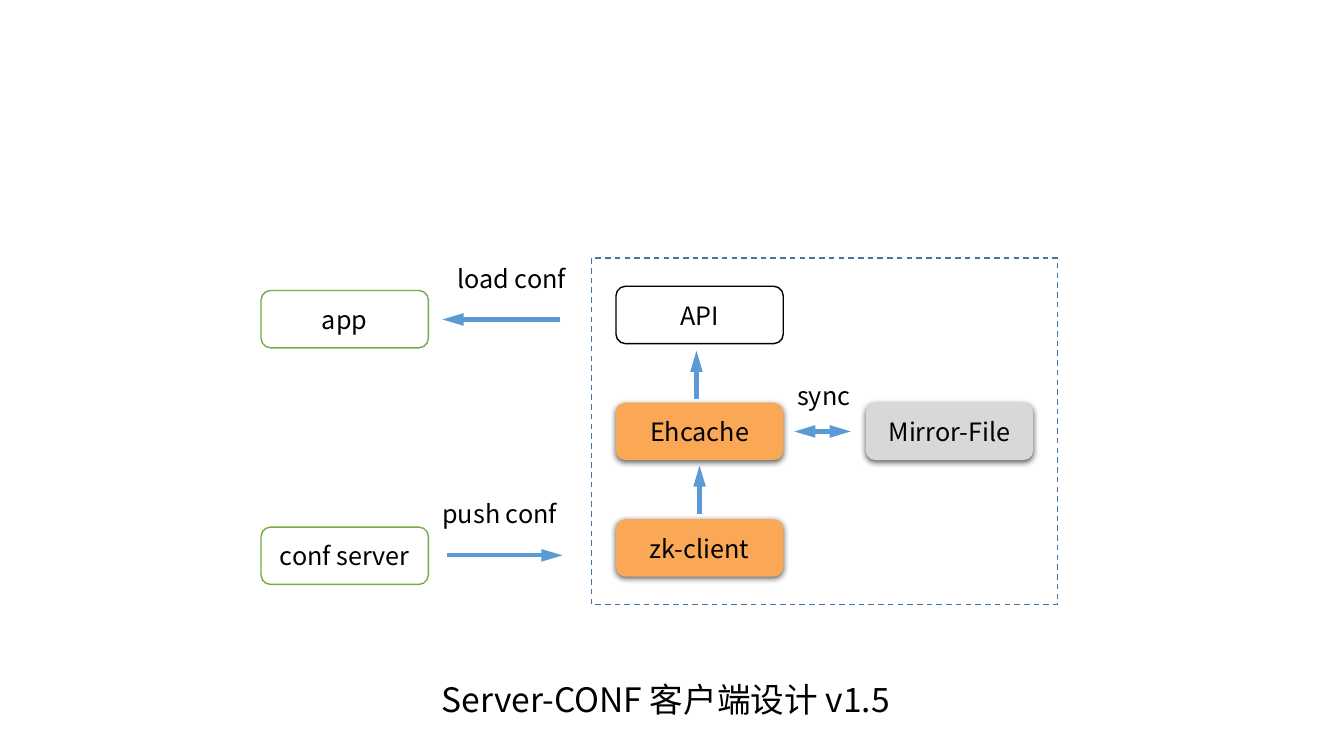
from dataclasses import dataclass

from lxml.etree import SubElement
from pptx import Presentation
from pptx.dml.color import RGBColor
from pptx.enum.dml import MSO_LINE
from pptx.enum.shapes import MSO_CONNECTOR, MSO_SHAPE
from pptx.enum.text import MSO_ANCHOR, MSO_AUTO_SIZE, PP_ALIGN
from pptx.oxml.ns import qn
from pptx.util import Pt


@dataclass(frozen=True)
class Theme:
    font: str = "Noto Sans CJK SC"
    title_size: int = 24
    body_size: int = 18
    text: str = "000000"
    white: str = "FFFFFF"
    green: str = "70AD47"
    orange: str = "FAA756"
    gray: str = "D8D8D8"
    arrow: str = "5B9BD5"
    frame: str = "43739E"


THEME = Theme()
BOX_WIDTH, BOX_HEIGHT = 119.5, 41
OUTSIDE_LEFT, CLIENT_LEFT, MIRROR_LEFT = 186.5, 440, 618.5
API_TOP, ROW_STEP = 204.5, 83.2
CACHE_TOP, ZK_TOP = API_TOP + ROW_STEP, API_TOP + 2 * ROW_STEP
APP_TOP, SERVER_TOP = 207.5, 376.5


def color(value):
    return RGBColor.from_string(value)


def write(frame, text, size, align):
    para = frame.paragraphs[0]
    para.text = text
    para.alignment = align
    para.font.size = Pt(size)
    para.font.color.rgb = color(THEME.text)
    para.font.name = THEME.font
    # East Asian characters use the same typeface
    SubElement(para.font._element, qn("a:ea"), typeface=THEME.font)


def add_soft_shadow(shape):
    effects = shape._element.spPr.find(qn("a:effectLst"))
    shadow = SubElement(effects, qn("a:outerShdw"), blurRad=str(Pt(4.5)),
                        dist=str(Pt(1.5)), dir="5400000", algn="ctr", rotWithShape="0")
    black = SubElement(shadow, qn("a:srgbClr"), val="000000")
    SubElement(black, qn("a:alpha"), val="63000")


def add_box(slide, text, left, top, fill=THEME.white, line=None):
    """Rounded box; one without an outline gets a shadow."""
    box = slide.shapes.add_shape(MSO_SHAPE.FLOWCHART_ALTERNATE_PROCESS, Pt(left), Pt(top),
                                 Pt(BOX_WIDTH), Pt(BOX_HEIGHT))
    box.shadow.inherit = False
    box.fill.solid()
    box.fill.fore_color.rgb = color(fill)
    if line:
        box.line.color.rgb = color(line)
        box.line.width = Pt(1)
    else:
        box.line.fill.background()
        add_soft_shadow(box)
    box.text_frame.vertical_anchor = MSO_ANCHOR.MIDDLE
    write(box.text_frame, text, THEME.body_size, PP_ALIGN.CENTER)


def add_frame(slide, left, top, width, height):
    frame = slide.shapes.add_shape(MSO_SHAPE.RECTANGLE, Pt(left), Pt(top), Pt(width), Pt(height))
    frame.shadow.inherit = False
    frame.fill.background()
    frame.line.color.rgb = color(THEME.frame)
    frame.line.width = Pt(1)
    frame.line.dash_style = MSO_LINE.DASH


def add_label(slide, text, left, top, width, height=29,
              size=THEME.body_size, align=PP_ALIGN.LEFT):
    label = slide.shapes.add_textbox(Pt(left), Pt(top), Pt(width), Pt(height))
    label.text_frame.word_wrap = False
    label.text_frame.auto_size = MSO_AUTO_SIZE.SHAPE_TO_FIT_TEXT
    write(label.text_frame, text, size, align)


def add_arrow(slide, start, tip, both_ends=False):
    arrow = slide.shapes.add_connector(MSO_CONNECTOR.STRAIGHT, *map(Pt, start + tip))
    arrow.line.color.rgb = color(THEME.arrow)
    arrow.line.width = Pt(3)
    for end in ("a:headEnd", "a:tailEnd") if both_ends else ("a:tailEnd",):
        SubElement(arrow.line._get_or_add_ln(), qn(end), type="triangle", w="med", len="lg")
    SubElement(arrow._element.spPr, qn("a:effectLst"))


def main():
    deck = Presentation()
    deck.slide_width, deck.slide_height = Pt(960), Pt(540)
    slide = deck.slides.add_slide(deck.slide_layouts[6])

    # Title below the diagram
    add_label(slide, "Server-CONF 客户端设计 v1.5", 301.7, 481.7, 347.8, 65.5,
              THEME.title_size, PP_ALIGN.CENTER)

    # Client frame and all components
    add_frame(slide, 422.6, 184.3, 332.6, 247.7)
    add_box(slide, "API", CLIENT_LEFT, API_TOP, line=THEME.text)
    add_box(slide, "conf server", OUTSIDE_LEFT, SERVER_TOP, line=THEME.green)
    add_box(slide, "app", OUTSIDE_LEFT, APP_TOP, line=THEME.green)
    add_box(slide, "Ehcache", CLIENT_LEFT, CACHE_TOP, THEME.orange)
    add_box(slide, "zk-client", CLIENT_LEFT, ZK_TOP, THEME.orange)
    add_box(slide, "Mirror-File", MIRROR_LEFT, CACHE_TOP, THEME.gray)

    # Data flow
    add_arrow(slide, (400.3, 228.2), (316.1, 228.2))
    add_arrow(slide, (319, 396.7), (401.8, 396.7))
    add_arrow(slide, (497.5, 285.1), (497.5, 250.6))
    add_arrow(slide, (499.7, 367.2), (499.7, 332.6))
    add_arrow(slide, (567.4, 308.2), (607.7, 308.2), both_ends=True)

    # Flow labels
    add_label(slide, "push conf", 308.9, 352.1, 100.8)
    add_label(slide, "load conf", 319.7, 184.3, 95.8)
    add_label(slide, "sync", 562.3, 267.8, 52.6)

    deck.save("out.pptx")


if __name__ == "__main__":
    main()
